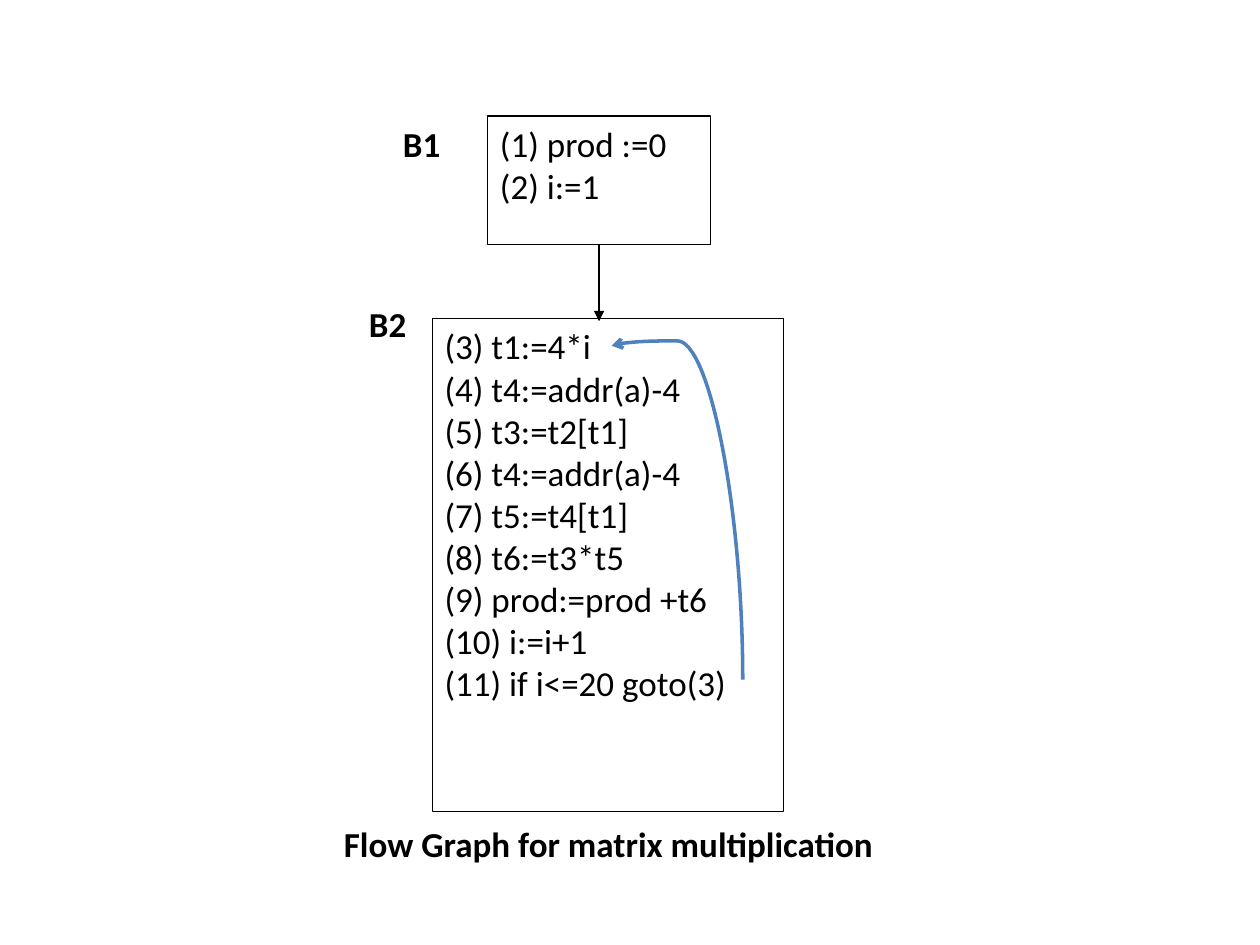
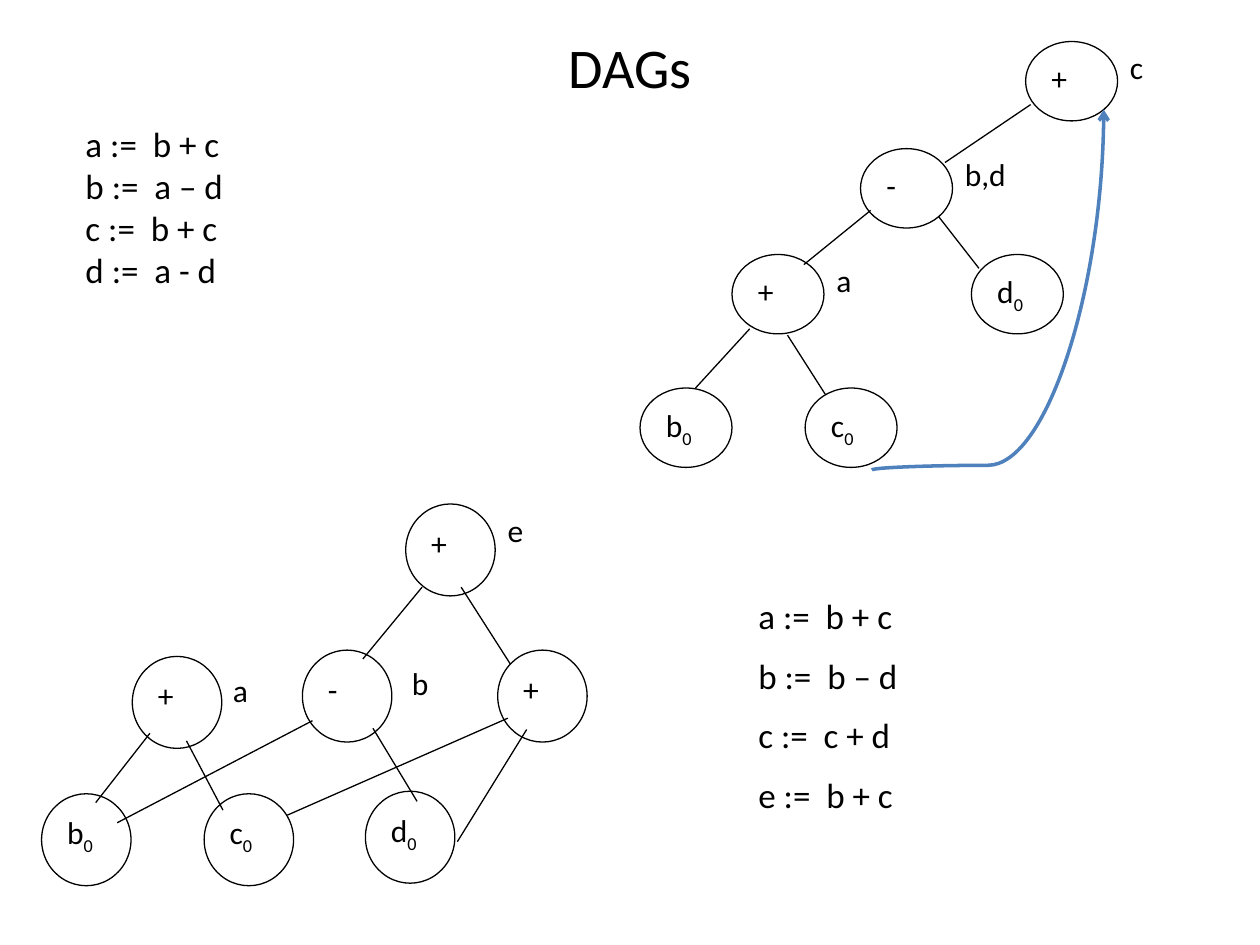
"""Build two slides on flow graphs and directed acyclic graphs."""
from lxml.etree import SubElement
from pptx import Presentation
from pptx.dml.color import RGBColor
from pptx.enum.shapes import MSO_CONNECTOR, MSO_SHAPE
from pptx.enum.text import MSO_ANCHOR, PP_ALIGN
from pptx.oxml.ns import qn
from pptx.util import Inches, Pt

COLORS = {"ink": "000000", "paper": "FFFFFF", "loop": "4F81BD"}
FONT = "Calibri"

deck = Presentation()
deck.slide_width, deck.slide_height = Inches(10), Inches(7.5)
cell = deck.slide_width / 100


def write_text(target, text, *, area=None, shape=None, outline=True, size=20, bold=False,
               align=PP_ALIGN.LEFT, anchor=MSO_ANCHOR.TOP, gap=0):
    """Write text into a placeholder, or into a new box on a slide; "_" starts a subscript."""
    box = target
    if area:
        place = [round(length * cell) for length in area]
        if shape is None:
            box = target.shapes.add_textbox(*place)
        else:
            box = target.shapes.add_shape(shape, *place)
            box.shadow.inherit = False
            box.fill.solid()
            box.fill.fore_color.rgb = RGBColor.from_string(COLORS["paper"])
            if outline:
                box.line.color.rgb = RGBColor.from_string(COLORS["ink"])
                box.line.width = Pt(0.75)
            else:
                box.line.fill.background()
    frame = box.text_frame
    frame.word_wrap = True
    frame.vertical_anchor = anchor
    for number, line in enumerate(text.split("\n")):
        para = frame.add_paragraph() if number else frame.paragraphs[0]
        para.alignment = align
        if number and gap:
            para.space_before = Pt(gap)
        for level, piece in enumerate(line.split("_")):
            span = para.add_run()
            span.text = piece
            span.font.name, span.font.size, span.font.bold = FONT, Pt(size), bold
            span.font.color.rgb = RGBColor.from_string(COLORS["ink"])
            if level:
                span.font._element.set("baseline", "-25000")
    return box


def add_line(page, ends, *, color="ink", width=0.75, head=None, bend=None):
    """Draw a straight line, or a quarter-turned curve when a bend is given."""
    kind = MSO_CONNECTOR.STRAIGHT if bend is None else MSO_CONNECTOR.CURVE
    line = page.shapes.add_connector(kind, *[round(length * cell) for length in ends])
    line.line.color.rgb = RGBColor.from_string(COLORS[color])
    line.line.width = Pt(width)
    properties = line._element.spPr
    if head:
        SubElement(properties.find(qn("a:ln")), qn("a:tailEnd"), type=head)
    SubElement(properties, qn("a:effectLst"))
    if bend is not None:
        properties.find(qn("a:xfrm")).set("rot", str(270 * 60000))
        guides = properties.find(qn("a:prstGeom")).find(qn("a:avLst"))
        SubElement(guides, qn("a:gd"), name="adj1", fmla=f"val {round(bend * 100000)}")
    return line


flow_page = deck.slides.add_slide(deck.slide_layouts[6])
first_block = write_text(flow_page, "(1) prod :=0\n(2) i:=1",
                         area=(38.7, 9.2, 17.7, 10.2), shape=MSO_SHAPE.RECTANGLE)
loop_steps = ["t1:=4*i", "t4:=addr(a)-4", "t3:=t2[t1]", "t4:=addr(a)-4", "t5:=t4[t1]",
              "t6:=t3*t5", "prod:=prod +t6", "i:=i+1", "if i<=20 goto(3)"]
write_text(flow_page, "\n".join(f"({number}) {step}" for number, step in enumerate(loop_steps, 3)),
           area=(34.3, 25.3, 27.9, 39.1), shape=MSO_SHAPE.RECTANGLE)
flow_arrow = add_line(flow_page, (47.55, 19.4, 47.55, 25.5), head="triangle")
flow_arrow.begin_connect(first_block, 2)
for name, left, top in [("B1", 31, 9.2), ("B2", 28.3, 23.5)]:
    write_text(flow_page, name, area=(left, top, 7.7, 7.7), bold=True)
write_text(flow_page, "Flow Graph for matrix multiplication", area=(20.8, 64.8, 55, 10.2),
           bold=True, align=PP_ALIGN.CENTER)
add_line(flow_page, (40.5, 45.9, 67, 35.5), color="loop", width=2, head="arrow", bend=1.015)

dag_page = deck.slides.add_slide(deck.slide_layouts[5])
title = dag_page.shapes.title
title.left, title.top, title.width, title.height = [
    round(length * cell) for length in (5, 3, 90, 4.5)]
write_text(title, "DAGs", size=32, align=PP_ALIGN.CENTER, anchor=MSO_ANCHOR.MIDDLE)

listings = [
    ("a :=  b + c\nb :=  a – d\nc :=  b + c\nd :=  a - d", (5.8, 9.2, 17.5, 15), 0),
    ("a :=  b + c\nb :=  b – d\nc :=  c + d\ne :=  b + c", (59.2, 46.7, 20.8, 20.8), 10),
]
for code, area, gap in listings:
    write_text(dag_page, code, area=area, shape=MSO_SHAPE.RECTANGLE, outline=False, gap=gap)

graphs = [
    {
        "node": (7.3, 6.3),
        "nodes": [("b_0", 50.8, 30.8), ("c_0", 63.9, 30.8), ("+", 58.1, 20.2),
                  ("-", 68.3, 11.8), ("+", 81.4, 3.3), ("d_0", 77.1, 20.2)],
        "labels": [("a", 65.4, 20.2), ("b,d", 75.6, 11.8), ("c", 88.7, 3.3)],
        "edges": [(59.5, 26.1, 55.2, 30.8), (62.5, 26.6, 65.5, 31.3), (63.8, 21, 69.1, 16.7),
                  (74.5, 17.2, 77.7, 21.3), (75, 12.9, 81.8, 8.3)],
    },
    {
        "node": (7.1, 7.3),
        "nodes": [("b_0", 3.3, 63), ("c_0", 16.2, 63), ("d_0", 29, 62.8), ("+", 10.5, 52.1),
                  ("-", 24, 51.6), ("+", 39.5, 51.6), ("+", 32.2, 40)],
        "labels": [("a", 17.5, 52.8), ("b", 31.7, 52.2), ("e", 39.3, 40.1)],
        "edges": [(11.9, 58.2, 7.6, 63.7), (14.8, 58.8, 17.7, 64.3), (40.5, 52.7, 36.6, 46.6),
                  (29.6, 57.8, 33.1, 63.6), (28.8, 52.3, 33.5, 46.6), (24.8, 57.2, 9.3, 65.3),
                  (22.8, 64.7, 40.3, 57), (36.3, 66.8, 41.8, 57.9)],
    },
]
for graph in graphs:
    for mark, left, top in graph["nodes"]:
        write_text(dag_page, mark, area=(left, top, *graph["node"]), shape=MSO_SHAPE.OVAL, size=18)
    for name, left, top in graph["labels"]:
        write_text(dag_page, name, area=(left, top, *graph["node"]), size=18)
    for ends in graph["edges"]:
        add_line(dag_page, ends)
add_line(dag_page, (64.1, 13.8, 92.7, 32.2), color="loop", width=2, head="arrow", bend=0.013)

deck.save("out.pptx")
